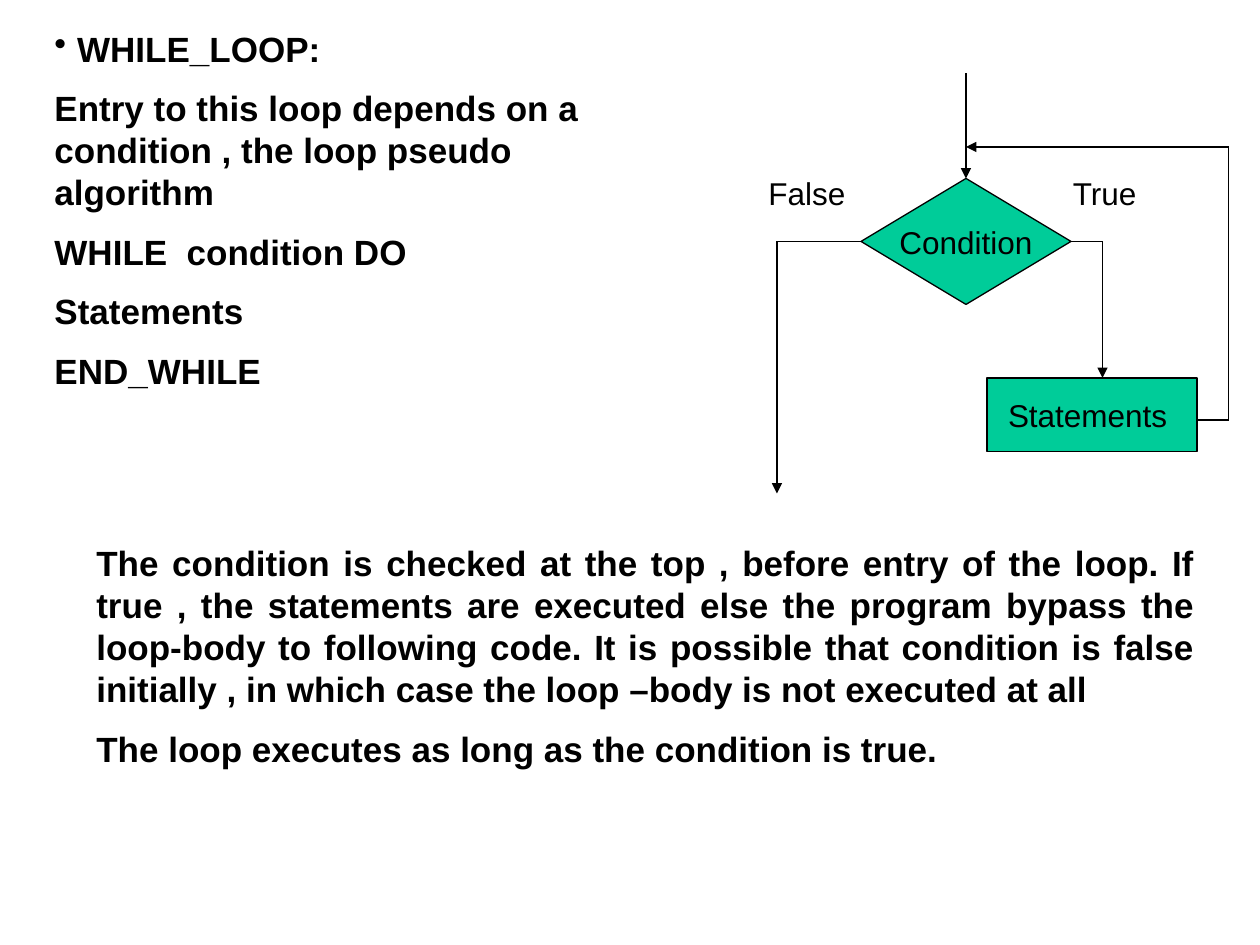
from dataclasses import dataclass
from typing import Optional

from lxml.etree import SubElement
from pptx import Presentation
from pptx.dml.color import RGBColor
from pptx.enum.shapes import MSO_CONNECTOR, MSO_SHAPE
from pptx.enum.text import MSO_ANCHOR, MSO_AUTO_SIZE, PP_ALIGN
from pptx.oxml.ns import qn
from pptx.util import Inches, Pt

COLUMNS, ROWS = 120, 90
UNIT = Inches(10) / COLUMNS
INK, GREEN = "000000", "00CC99"
TOP, LEFT, RIGHT = 0, 1, 3


@dataclass(frozen=True)
class Area:
    column: float
    row: float
    columns: float
    rows: float

    def lengths(self) -> list[int]:
        return [grid(n) for n in (self.column, self.row, self.columns, self.rows)]


@dataclass(frozen=True)
class Node:
    kind: MSO_SHAPE
    text: str
    area: Area


@dataclass(frozen=True)
class Flow:
    start: tuple[float, float]
    end: tuple[float, float]
    arrow: bool = False
    start_side: Optional[int] = None
    end_side: Optional[int] = None


CONDITION = Node(MSO_SHAPE.FLOWCHART_DECISION, "Condition", Area(82, 17, 20, 12))
STATEMENTS = Node(MSO_SHAPE.RECTANGLE, "Statements ", Area(94, 36, 20, 7))

FLOWS = [
    Flow((82, 23), (74, 23), start_side=LEFT),
    Flow((74, 23), (74, 47), arrow=True),
    Flow((102, 23), (105, 23), start_side=RIGHT),
    Flow((105, 23), (105, 36), arrow=True),
    Flow((117, 40), (114, 40)),
    Flow((117, 40), (117, 14)),
    Flow((117, 14), (92, 14), arrow=True),
    Flow((92, 7), (92, 17), arrow=True, end_side=TOP),
]

LABELS = {"False": Area(72, 16, 12, 4.8), "True": Area(101, 16, 14, 4.8)}

PSEUDOCODE = [
    "WHILE_LOOP:",
    "Entry to this loop depends on a condition , the loop pseudo algorithm",
    "WHILE  condition DO",
    "Statements",
    "END_WHILE",
]

EXPLANATION = [
    "The condition is checked at the top , before entry of the loop. "
    "If true , the statements are executed else the program bypass the "
    "loop-body to following code. It is possible that condition is false "
    "initially , in which case the loop –body is not executed at all ",
    "The loop executes as long as the condition is true. ",
]


def grid(count: float) -> int:
    return round(count * UNIT)


def colour(value: str) -> RGBColor:
    return RGBColor.from_string(value)


def write(frame, lines: list[str], *, size: int = 18, bold: bool = False,
          align: PP_ALIGN = PP_ALIGN.LEFT) -> None:
    for index, line in enumerate(lines):
        para = frame.add_paragraph() if index else frame.paragraphs[0]
        para.alignment = align
        if index:
            para.space_before = Pt(size / 2)
        span = para.add_run()
        span.text = line
        span.font.name = "Arial"
        span.font.size = Pt(size)
        span.font.bold = bold
        span.font.color.rgb = colour(INK)


def add_text(page, area: Area, lines: list[str], **style):
    box = page.shapes.add_textbox(*area.lengths())
    box.text_frame.word_wrap = True
    box.text_frame.auto_size = MSO_AUTO_SIZE.SHAPE_TO_FIT_TEXT
    write(box.text_frame, lines, **style)
    return box


def add_bullet(para, indent: int) -> None:
    properties = para._p.get_or_add_pPr()
    properties.set("marL", str(indent))
    properties.set("indent", str(-indent))
    SubElement(properties, qn("a:buChar"), char="•")


def add_node(page, node: Node):
    shape = page.shapes.add_shape(node.kind, *node.area.lengths())
    shape.shadow.inherit = False
    shape.fill.solid()
    shape.fill.fore_color.rgb = colour(GREEN)
    shape.line.color.rgb = colour(INK)
    shape.line.width = Pt(0.75)
    shape.text_frame.word_wrap = False
    shape.text_frame.vertical_anchor = MSO_ANCHOR.MIDDLE
    write(shape.text_frame, [node.text], align=PP_ALIGN.CENTER)
    return shape


def add_flow(page, flow: Flow, decision) -> None:
    points = [grid(n) for n in (*flow.start, *flow.end)]
    connector = page.shapes.add_connector(MSO_CONNECTOR.STRAIGHT, *points)
    connector.line.color.rgb = colour(INK)
    connector.line.width = Pt(0.75)
    if flow.arrow:
        SubElement(connector.line._get_or_add_ln(), qn("a:tailEnd"), type="triangle")
    SubElement(connector._element.spPr, qn("a:effectLst"))
    if flow.start_side is not None:
        connector.begin_connect(decision, flow.start_side)
    if flow.end_side is not None:
        connector.end_connect(decision, flow.end_side)


def main() -> None:
    deck = Presentation()
    deck.slide_width, deck.slide_height = grid(COLUMNS), grid(ROWS)
    page = deck.slides.add_slide(deck.slide_layouts[6])

    pseudocode = add_text(page, Area(4, 2, 62, 33.2), PSEUDOCODE, size=20, bold=True)
    add_bullet(pseudocode.text_frame.paragraphs[0], Inches(0.18))

    decision = add_node(page, CONDITION)
    add_node(page, STATEMENTS)
    for flow in FLOWS:
        add_flow(page, flow, decision)
    for label, area in LABELS.items():
        add_text(page, area, [label])

    add_text(page, Area(8, 51, 107, 23.2), EXPLANATION, size=20, bold=True,
             align=PP_ALIGN.JUSTIFY)
    deck.save("out.pptx")


if __name__ == "__main__":
    main()
